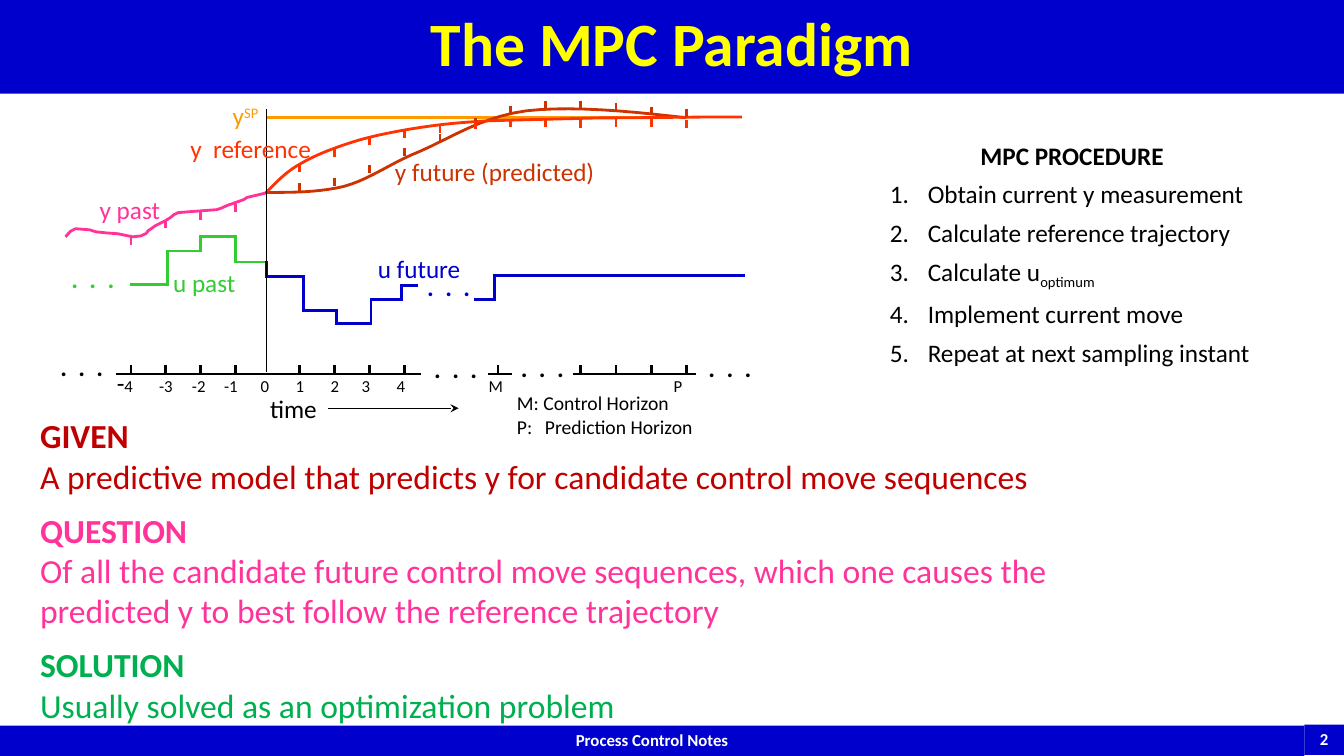
"""Build the slide on the model predictive control paradigm."""
from itertools import pairwise

from lxml.etree import SubElement
from pptx import Presentation
from pptx.dml.color import RGBColor
from pptx.enum.shapes import MSO_CONNECTOR, MSO_SHAPE
from pptx.enum.text import MSO_ANCHOR, PP_ALIGN
from pptx.oxml.ns import qn
from pptx.util import Pt

BLUE = RGBColor(0x00, 0x00, 0xCC)
WHITE = RGBColor(0xFF, 0xFF, 0xFF)
YELLOW = RGBColor(0xFF, 0xFF, 0x00)
BLACK = RGBColor(0x00, 0x00, 0x00)
ORANGE = RGBColor(0xFF, 0x99, 0x00)
PINK = RGBColor(0xFF, 0x33, 0x99)
LIME = RGBColor(0x33, 0xCC, 0x33)
RUST = RGBColor(0xCC, 0x33, 0x00)
SCARLET = RGBColor(0xFF, 0x33, 0x00)
CRIMSON = RGBColor(0xC0, 0x00, 0x00)
GREEN = RGBColor(0x00, 0xB0, 0x50)

prs = Presentation()
prs.slide_width, prs.slide_height = Pt(960), Pt(540)
s = prs.slides.add_slide(prs.slide_layouts[6])


def write(p, text, size=18, color=BLACK, bold=False, baseline=0):
    r = p.add_run()
    r.text = text
    r.font.name, r.font.size, r.font.bold = "Calibri", Pt(size), bold
    r.font.color.rgb = color
    if baseline:
        r.font._element.set("baseline", str(baseline * 1000))


def line(x1, y1, x2, y2, color, width=2):
    c = s.shapes.add_connector(MSO_CONNECTOR.STRAIGHT, Pt(x1), Pt(y1), Pt(x2), Pt(y2))
    c.line.color.rgb, c.line.width = color, Pt(width)
    SubElement(c._element.spPr, qn("a:effectLst"))
    return c._element.spPr.find(qn("a:ln"))


bars = [
    ("Process Control Notes", 0, 518.4, 931.7, 21.6, 12, WHITE),
    ("2", 931.7, 517.7, 28.3, 21.6, 12, WHITE),
    ("The MPC Paradigm", 0, 0, 960, 67, 44, YELLOW),
]
for text, x, y, w, h, size, color in bars:
    sp = s.shapes.add_shape(MSO_SHAPE.RECTANGLE, Pt(x), Pt(y), Pt(w), Pt(h))
    sp.shadow.inherit = False
    sp.fill.solid()
    sp.fill.fore_color.rgb = BLUE
    sp.line.fill.background()
    tf = sp.text_frame
    tf.vertical_anchor = MSO_ANCHOR.MIDDLE
    tf.margin_top = tf.margin_bottom = 0
    p = tf.paragraphs[0]
    p.alignment, p.line_spacing = PP_ALIGN.CENTER, 0.9
    write(p, text, size, color, bold=True)

line(190.1, 84.2, 476.6, 84.2, ORANGE)

past_output = [
    (46.8, 169.2), (50.4, 165.2), (54, 163.4), (64.1, 164.2), (68.4, 165.6),
    (76, 166.4), (84.2, 167), (91.4, 168.5), (95, 169.2), (100.8, 168.5),
    (104.4, 166.8), (105.8, 164.9), (108, 163.4), (110.9, 161.3), (118.1, 157.7),
    (121.7, 155.5), (124.5, 153.2), (127.4, 151.9), (136.1, 151.2), (154.8, 149.8),
    (158.4, 148.6), (162, 146.9), (174.2, 142.6), (176.4, 141.1), (188.6, 138.2),
    (190.8, 137.5),
]
predicted = [
    (189.4, 137.5), (208.1, 137.5), (227.5, 137.5), (245.5, 133.2),
    (264.2, 128.2), (278.6, 116.6), (300.2, 108),
    (321.8, 98.6), (344.2, 83.5), (375.8, 79.2),
    (407.5, 75.6), (448.6, 79.2), (490.3, 84.2),
]
reference = [
    (190.1, 137.5), (197.3, 130.3), (204.5, 122.4), (215.3, 116.6),
    (226.1, 110.2), (241.9, 104.4), (256.3, 100.1),
    (271.4, 95.8), (288, 92.9), (302.4, 90.7),
    (317.5, 88.6), (325.4, 87.8), (346.3, 86.4),
    (367.2, 85.7), (398.2, 85), (429.1, 84.2),
    (459.4, 84.2), (494.6, 83.5), (529.9, 83.5),
]
curves = [(PINK, past_output)]
for color, controls in [(RUST, predicted), (SCARLET, reference)]:
    points = controls[:1]
    for i in range(0, len(controls) - 1, 3):
        for t in [k / 10 for k in range(1, 11)]:
            weights = ((1 - t) ** 3, 3 * t * (1 - t) ** 2, 3 * t * t * (1 - t), t ** 3)
            points.append([sum(w * v for w, v in zip(weights, axis))
                           for axis in zip(*controls[i:i + 4])])
    curves.append((color, points))
for color, points in curves:
    start, *rest = [(Pt(x), Pt(y)) for x, y in points]
    builder = s.shapes.build_freeform(*start)
    builder.add_line_segments(rest, close=False)
    sp = builder.convert_to_shape()
    sp.shadow.inherit = False
    sp.fill.background()
    sp.line.color.rgb, sp.line.width = color, Pt(2)

past_x = [93.6 + 24.9 * k for k in range(4)]
future_x = [213.8 + 25.14 * k for k in range(12)]
axis_x = past_x + future_x[:4] + [355.7] + future_x[8:]
ticks = [
    (PINK, past_x, [169.2, 157, 151.2, 145.4]),
    (RUST, future_x, [131, 127.4, 118.1, 105.8, 95.8, 84.2, 75.6, 72, 72, 73.4, 76.3, 77.8]),
    (SCARLET, future_x, [117.4, 106.6, 97.9, 92.9, 89.3, 86.4, 85, 85, 85.7, 85, 85, 85.7]),
    (BLACK, axis_x, [261] * len(axis_x)),
]
for color, xs, tops in ticks:
    for x, y in zip(xs, tops):
        line(x, y, x, y + 5.7, color)

moves = [
    (LIME, [(93.6, 203), (119.5, 203), (119.5, 179.3), (143.5, 179.3), (143.5, 169.2),
            (168.5, 169.2), (168.5, 187.2), (190.1, 187.2)]),
    (BLUE, [(190.1, 187.2), (190.1, 197.3), (216.7, 197.3), (216.7, 221.8), (240.5, 221.8),
            (240.5, 231.1), (265, 231.1), (265, 213.8), (286.6, 213.8), (286.6, 203.8),
            (297.4, 203.8)]),
    (BLUE, [(339.8, 213.8), (353.5, 213.8), (353.5, 196.6), (531.4, 196.6)]),
]
for color, corners in moves:
    for start, end in pairwise(corners):
        line(*start, *end, color).set("cap", "sq")

line(190.1, 77.8, 190.1, 265.7, BLACK, 0.75)
for x1, x2 in [(82.8, 301), (348.5, 365.8), (409, 496.8)]:
    line(x1, 267.1, x2, 267.1, BLACK)
SubElement(line(234, 291.6, 327.6, 291.6, BLACK, 0.75), qn("a:tailEnd"), type="stealth")

DOTS = ".  .  ."
labels = [
    ("y past", 64.1, 135.4, 58.3, PINK),
    (DOTS, 43.9, 184.3, 45.4, LIME),
    ("u past", 116.6, 187.2, 59.8, LIME),
    (DOTS, 298.1, 190.1, 45.4, BLUE),
    ("u future", 262.8, 177.1, 74.2, BLUE),
    ("y future (predicted)", 275, 108, 159.1, RUST),
    ("y  reference", 128.9, 91.4, 101.5, SCARLET),
    ("time", 185.8, 277.2, 48.2, BLACK),
    (DOTS, 303.1, 249.1, 45.4, BLACK),
    (DOTS, 365, 248.4, 45.4, BLACK),
    (DOTS, 36, 247.7, 45.4, BLACK),
    (DOTS, 499, 248.4, 45.4, BLACK),
    ("y", 159.1, 68.4, 34.6, ORANGE),
]
for text, x, y, w, color in labels:
    tf = s.shapes.add_textbox(Pt(x), Pt(y), Pt(w), Pt(28.8)).text_frame
    tf.word_wrap = False
    write(tf.paragraphs[0], text, color=color, bold=text == DOTS)
write(tf.paragraphs[0], "SP", color=ORANGE, baseline=30)

tf = s.shapes.add_textbox(Pt(76.3), Pt(258.5), Pt(428.4), Pt(28.8)).text_frame
tf.word_wrap = True
p = tf.paragraphs[0]
tabs = SubElement(p._p.get_or_add_pPr(), qn("a:tabLst"))
for x in [118.6, 142.1, 165, 189.3, 214.3, 239.3, 261.4, 286.4, 354.3, 484.3]:
    SubElement(tabs, qn("a:tab"), pos=str(Pt(x - 83.5)), algn="ctr")
write(p, "-")
write(p, "4\t-3\t-2\t-1\t0\t1\t2\t3\t4\tM\tP", 12)

tf = s.shapes.add_textbox(Pt(21.6), Pt(293), Pt(828), Pt(235.4)).text_frame
tf.word_wrap = True
topics = [
    ("GIVEN", "A predictive model that predicts y for candidate control move sequences", CRIMSON),
    ("QUESTION", "Of all the candidate future control move sequences, which one causes the "
     "predicted y to best follow the reference trajectory", PINK),
    ("SOLUTION", "Usually solved as an optimization problem", GREEN),
]
for i, (heading, body, color) in enumerate(topics):
    p = tf.add_paragraph() if i else tf.paragraphs[0]
    if i:
        p.space_before = Pt(9.8)
    write(p, heading, 24, color, bold=True)
    write(tf.add_paragraph(), body, 24, color)

tf = s.shapes.add_textbox(Pt(628.6), Pt(96.5), Pt(274.3), Pt(168.5)).text_frame
tf.word_wrap = True
p = tf.paragraphs[0]
p.alignment, p.space_after = PP_ALIGN.CENTER, Pt(6)
write(p, "MPC PROCEDURE", bold=True)
for step in ["Obtain current y measurement", "Calculate reference trajectory", "Calculate u",
             "Implement current move", "Repeat at next sampling instant"]:
    p = tf.add_paragraph()
    p.space_after = Pt(6)
    pPr = p._p.get_or_add_pPr()
    pPr.set("marL", str(Pt(27)))
    pPr.set("indent", str(Pt(-27)))
    SubElement(pPr, qn("a:buAutoNum"), type="arabicPeriod")
    write(p, step)
    if step == "Calculate u":
        write(p, "optimum", baseline=-25)

tf = s.shapes.add_textbox(Pt(362.2), Pt(275.8), Pt(141.8), Pt(41)).text_frame
tf.word_wrap = False
write(tf.paragraphs[0], "M: Control Horizon", 14)
p = tf.add_paragraph()
tabs = SubElement(p._p.get_or_add_pPr(), qn("a:tabLst"))
SubElement(tabs, qn("a:tab"), pos=str(Pt(20)), algn="l")
write(p, "P:\tPrediction Horizon", 14)

prs.save("out.pptx")
